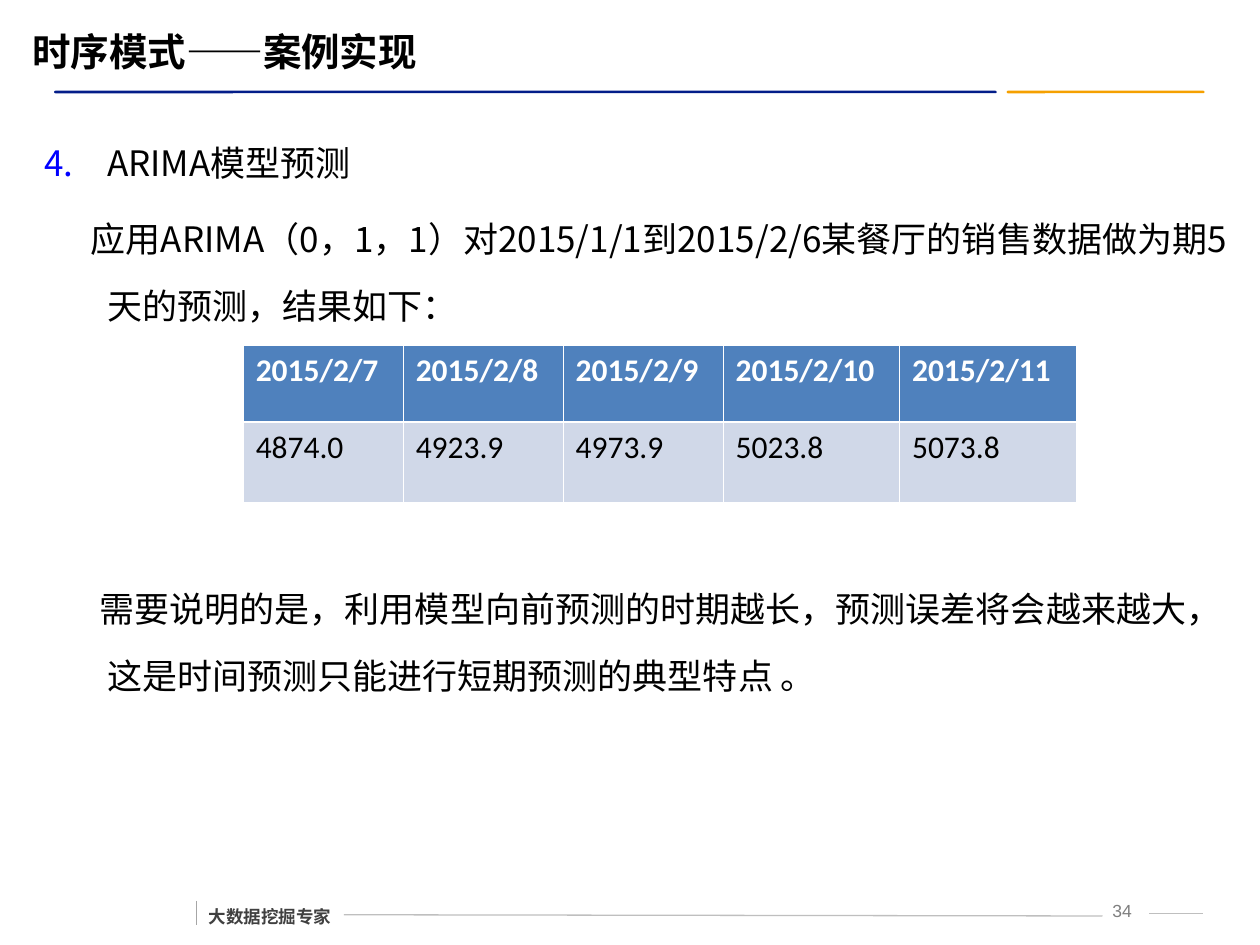
from dataclasses import dataclass

from pptx import Presentation
from pptx.dml.color import RGBColor
from pptx.enum.shapes import MSO_CONNECTOR, MSO_SHAPE
from pptx.enum.text import MSO_ANCHOR, PP_ALIGN
from pptx.oxml.ns import qn
from pptx.util import Inches, Pt
from lxml import etree

STRAIGHT = MSO_CONNECTOR.STRAIGHT
ROUNDED = MSO_SHAPE.ROUNDED_RECTANGLE
TOP, MIDDLE = MSO_ANCHOR.TOP, MSO_ANCHOR.MIDDLE
LEFT, CENTER = PP_ALIGN.LEFT, PP_ALIGN.CENTER


@dataclass(frozen=True)
class Theme:
    cjk: str = "Noto Sans CJK SC"
    table_font: str = "Calibri"
    number_font: str = "Arial"
    title_size: int = 22
    body_size: int = 20
    table_size: int = 18
    footer_size: int = 10
    black: str = "000000"
    white: str = "FFFFFF"
    blue: str = "031D89"
    orange: str = "F5A000"
    bullet: str = "0000FF"
    header: str = "4F81BD"
    band: str = "D0D8E8"
    footer: str = "404040"
    number: str = "7F7F7F"
    rule: str = "BFBFBF"
    divider: str = "A6A6A6"


def child(parent, tag, **attributes):
    return etree.SubElement(parent, qn(tag), attributes)


class SlideBuilder:
    def __init__(self, slide, theme):
        self.slide = slide
        self.theme = theme

    def bar(self, left, width, color):
        bar = self.slide.shapes.add_shape(
            ROUNDED, Inches(left), Inches(0.72), Inches(width), Inches(0.02))
        bar.adjustments[0] = 0.5
        bar.shadow.inherit = False
        bar.fill.solid()
        bar.fill.fore_color.rgb = RGBColor.from_string(color)
        bar.line.fill.background()

    def line(self, x1, y1, x2, y2, color):
        line = self.slide.shapes.add_connector(
            STRAIGHT, Inches(x1), Inches(y1), Inches(x2), Inches(y2))
        line.line.color.rgb = RGBColor.from_string(color)
        line.line.width = Pt(0.75)
        child(line._element.spPr, "a:effectLst")

    def box(self, left, top, width, height, inset=(0.1, 0.05), anchor=TOP, wrap=True):
        box = self.slide.shapes.add_textbox(
            Inches(left), Inches(top), Inches(width), Inches(height))
        frame = box.text_frame
        frame.word_wrap = wrap
        frame.vertical_anchor = anchor
        frame.margin_left = frame.margin_right = Inches(inset[0])
        frame.margin_top = frame.margin_bottom = Inches(inset[1])
        return frame

    def run(self, para, text, size, color, font=None, bold=False):
        span = para.add_run()
        span.text = text
        span.font.size = Pt(size)
        span.font.bold = bold
        span.font.color.rgb = RGBColor.from_string(color)
        span.font.name = font or self.theme.cjk
        child(span.font._element, "a:ea", typeface=font or self.theme.cjk)

    def label(self, place, text, size, color, font=None, bold=False,
              align=LEFT, anchor=TOP, wrap=True):
        para = self.box(*place, anchor=anchor, wrap=wrap).paragraphs[0]
        para.alignment = align
        self.run(para, text, size, color, font, bold)

    def body(self, place, items):
        """Each item is its text, its first-line indent and its number, if any."""
        frame = self.box(*place, inset=(0, 0))
        for index, (text, indent, number) in enumerate(items):
            para = frame.add_paragraph() if index else frame.paragraphs[0]
            para.line_spacing = 1.6
            if index:
                para.space_before = Pt(5)
            props = para._p.get_or_add_pPr()
            props.set("marL", str(Inches(0.5)))
            props.set("indent", str(Inches(indent)))
            if number:
                color = child(props, "a:buClr")
                child(color, "a:srgbClr", val=self.theme.bullet)
                child(props, "a:buFont", typeface=self.theme.cjk)
                child(props, "a:buAutoNum", type="arabicPeriod", startAt=str(number))
            self.run(para, text, self.theme.body_size, self.theme.black)

    def border(self, cell, side, width):
        edge = child(cell._tc.get_or_add_tcPr(), f"a:{side}", w=str(Pt(width)))
        fill = child(edge, "a:solidFill")
        child(fill, "a:srgbClr", val=self.theme.white)

    def table(self, left, top, widths, heights, rows):
        theme = self.theme
        table = self.slide.shapes.add_table(
            len(rows), len(widths), Inches(left), Inches(top),
            Inches(sum(widths)), Inches(sum(heights))).table
        for column, width in zip(table.columns, widths):
            column.width = Inches(width)
        for r, values in enumerate(rows):
            table.rows[r].height = Inches(heights[r])
            is_header = r == 0
            for c, value in enumerate(values):
                cell = table.cell(r, c)
                for side in ("lnL", "lnR", "lnT", "lnB"):
                    inner = side == ("lnB" if is_header else "lnT")
                    self.border(cell, side, 1.47 if inner else 0.45)
                cell.fill.solid()
                cell.fill.fore_color.rgb = RGBColor.from_string(
                    theme.header if is_header else theme.band)
                self.run(cell.text_frame.paragraphs[0], value, theme.table_size,
                         theme.white if is_header else theme.black,
                         theme.table_font, is_header)


def main():
    deck = Presentation()
    deck.slide_width, deck.slide_height = Inches(10), Inches(7.5)
    theme = Theme()
    page = SlideBuilder(deck.slides.add_slide(deck.slide_layouts[6]), theme)

    # Title and the two-colour rule below it
    page.bar(7.99, 1.57, theme.orange)
    page.bar(0.43, 7.48, theme.blue)
    page.label((0.16, 0.17, 9.1, 0.47), "时序模式——案例实现",
               theme.title_size, theme.black, bold=True, anchor=MIDDLE)

    # Footer
    page.line(1.56, 7.15, 1.56, 7.34, theme.divider)
    page.label((1.56, 7.1, 1.17, 0.35), "大数据挖掘专家", theme.footer_size,
               theme.footer, bold=True, anchor=MIDDLE, wrap=False)
    page.line(2.73, 7.26, 8.75, 7.27, theme.rule)
    page.label((8.67, 7.09, 0.47, 0.25), "34", theme.footer_size,
               theme.number, theme.number_font, align=CENTER)
    page.line(9.12, 7.25, 9.55, 7.25, theme.rule)

    # Body text above and below the table
    page.body((0.35, 0.92, 9.53, 1.75), [
        ("ARIMA模型预测", -0.5, 4),
        ("应用ARIMA（0，1，1）对2015/1/1到2015/2/6某餐厅的销售数据做"
         "为期5天的预测，结果如下：", -0.13, None),
    ])
    page.body((0.35, 4.46, 9.53, 1.07), [
        ("需要说明的是，利用模型向前预测的时期越长，预测误差将会越来越大，"
         "这是时间预测只能进行短期预测的典型特点 。", -0.06, None),
    ])

    # Forecast table
    page.table(1.93, 2.74, [1.27] * 3 + [1.4] * 2, [0.61, 0.64], [
        ["2015/2/7", "2015/2/8", "2015/2/9", "2015/2/10", "2015/2/11"],
        ["4874.0", "4923.9", "4973.9", "5023.8", "5073.8"],
    ])

    deck.save("out.pptx")


if __name__ == "__main__":
    main()
